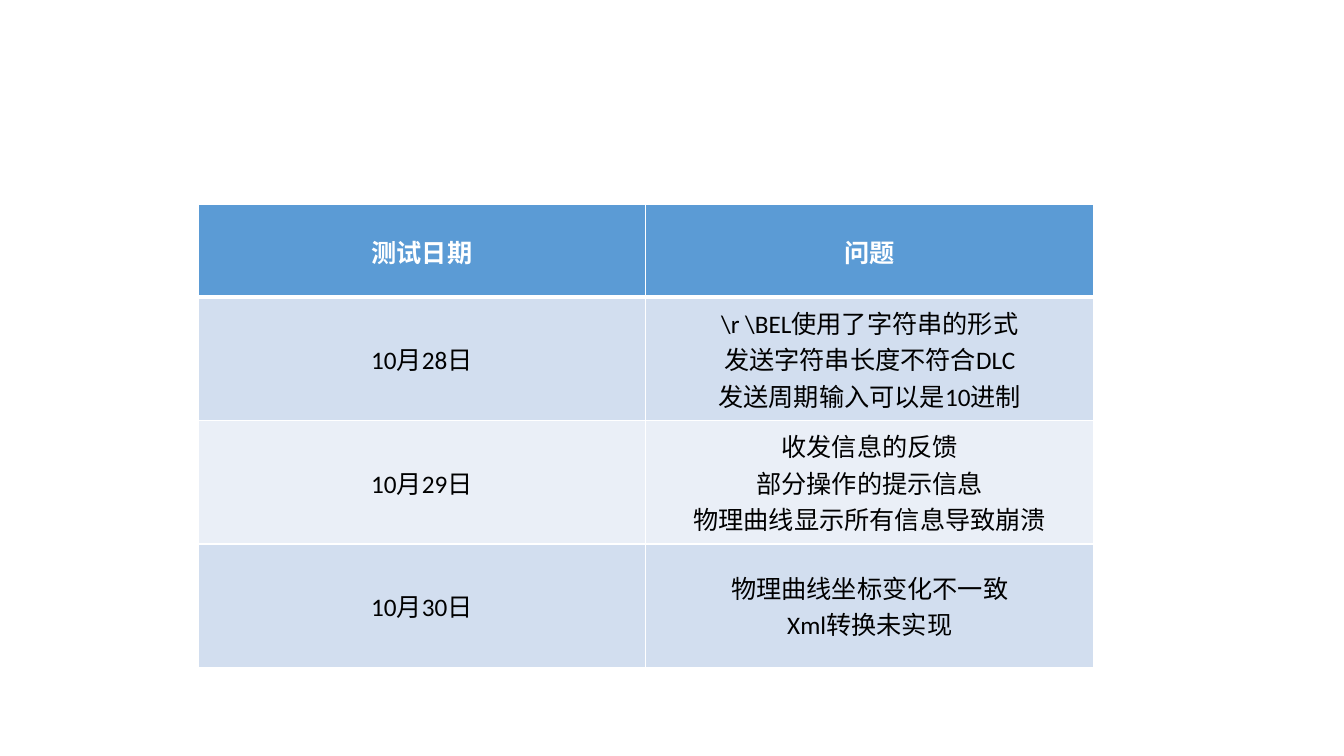
from lxml import etree
from pptx import Presentation
from pptx.dml.color import RGBColor
from pptx.enum.text import MSO_ANCHOR, PP_ALIGN
from pptx.oxml.ns import qn
from pptx.util import Pt

MIDDLE, CENTER = MSO_ANCHOR.MIDDLE, PP_ALIGN.CENTER
WHITE = RGBColor(0xFF, 0xFF, 0xFF)
BLACK = RGBColor(0, 0, 0)
HEADER_BLUE = RGBColor(0x5B, 0x9B, 0xD5)
BANDS = [RGBColor(0xD2, 0xDE, 0xEF), RGBColor(0xEA, 0xEF, 0xF7)]

HEADER = [["测试日期"], ["问题"]]
TEST_DAYS = [
    [["10月28日"], [r"\r \BEL使用了字符串的形式", "发送字符串长度不符合DLC", "发送周期输入可以是10进制"]],
    [["10月29日"], ["收发信息的反馈", "部分操作的提示信息", "物理曲线显示所有信息导致崩溃"]],
    [["10月30日"], ["物理曲线坐标变化不一致", "Xml转换未实现"]],
]

LEFT, TOP, COL_WIDTH = 141.4, 146.3, 319.9
HEADER_HEIGHT, DAY_HEIGHT = 66.1, 88.1


def set_borders(cell, header_gap_side):
    """White 1 pt lines, with a 3 pt line on the side between header and body."""
    tc_pr = cell._tc.get_or_add_tcPr()
    for i, side in enumerate(("lnL", "lnR", "lnT", "lnB")):
        ln = etree.Element(qn("a:" + side), w=str(Pt(3 if side == header_gap_side else 1)))
        fill = etree.SubElement(ln, qn("a:solidFill"))
        etree.SubElement(fill, qn("a:srgbClr"), val=str(WHITE))
        tc_pr.insert(i, ln)


def fill_cell(cell, lines, fill, color, bold):
    cell.fill.solid()
    cell.fill.fore_color.rgb = fill
    cell.vertical_anchor = MIDDLE
    tf = cell.text_frame
    for i, line in enumerate(lines):
        p = tf.add_paragraph() if i else tf.paragraphs[0]
        p.alignment = CENTER
        r = p.add_run()
        r.text = line
        r.font.name, r.font.size = "Calibri", Pt(18)
        r.font.bold = bold
        r.font.color.rgb = color


prs = Presentation()
prs.slide_width, prs.slide_height = Pt(960), Pt(540)
s = prs.slides.add_slide(prs.slide_layouts[6])

rows = [HEADER] + TEST_DAYS
height = HEADER_HEIGHT + DAY_HEIGHT * len(TEST_DAYS)
table = s.shapes.add_table(len(rows), len(HEADER), Pt(LEFT), Pt(TOP),
                           Pt(COL_WIDTH * len(HEADER)), Pt(height)).table
for col in table.columns:
    col.width = Pt(COL_WIDTH)

for i, row in enumerate(rows):
    is_header = i == 0
    table.rows[i].height = Pt(HEADER_HEIGHT if is_header else DAY_HEIGHT)
    fill = HEADER_BLUE if is_header else BANDS[(i - 1) % 2]
    for j, lines in enumerate(row):
        cell = table.cell(i, j)
        fill_cell(cell, lines, fill, WHITE if is_header else BLACK, is_header)
        set_borders(cell, {0: "lnB", 1: "lnT"}.get(i))

prs.save("out.pptx")
